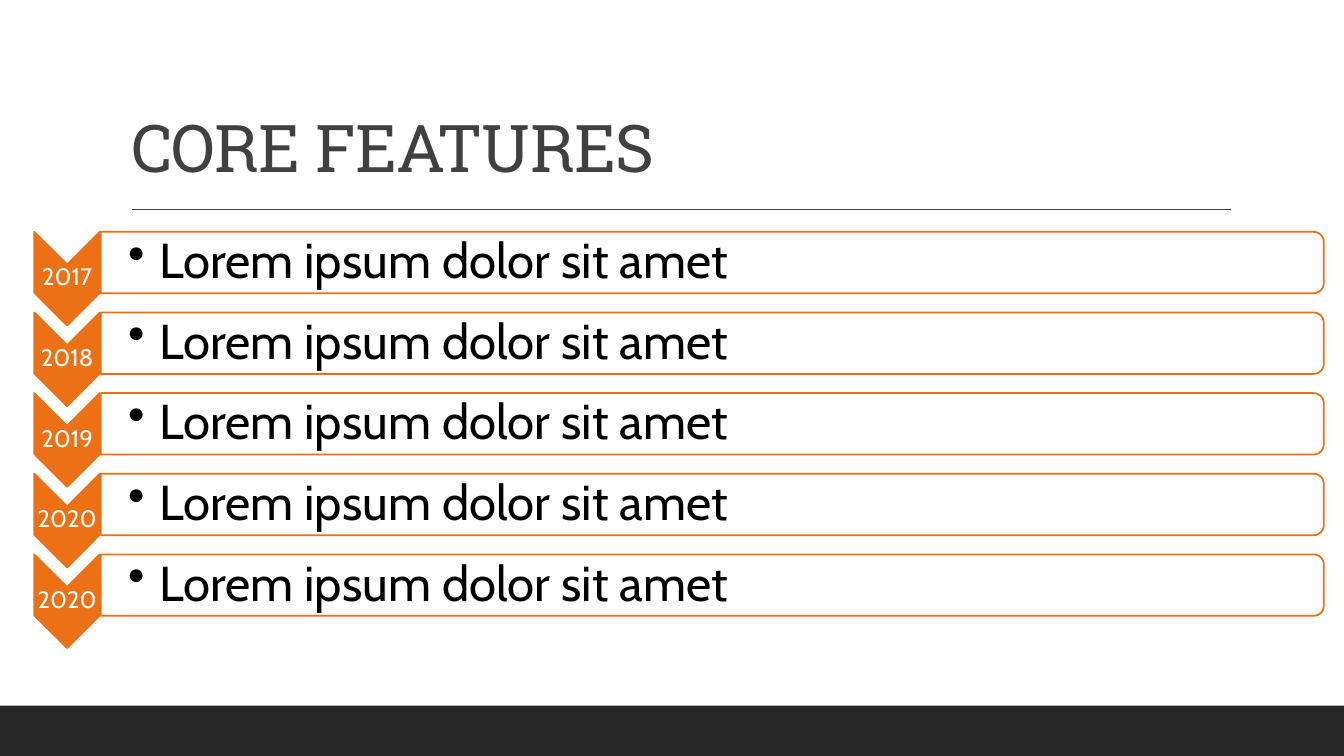
from dataclasses import dataclass

from lxml.etree import SubElement
from pptx import Presentation
from pptx.dml.color import RGBColor
from pptx.enum.shapes import MSO_CONNECTOR, MSO_SHAPE
from pptx.enum.text import MSO_ANCHOR, MSO_AUTO_SIZE, PP_ALIGN
from pptx.oxml.ns import qn
from pptx.util import Inches, Pt


@dataclass(frozen=True)
class Theme:
    accent: RGBColor = RGBColor(0xEC, 0x70, 0x16)
    heading: RGBColor = RGBColor(0x40, 0x40, 0x40)
    footer: RGBColor = RGBColor(0x26, 0x26, 0x26)
    white: RGBColor = RGBColor(0xFF, 0xFF, 0xFF)
    black: RGBColor = RGBColor(0, 0, 0)
    heading_font: str = "Roboto Slab"
    body_font: str = "Cabin"
    title_size: Pt = Pt(47)
    year_size: Pt = Pt(17)
    feature_size: Pt = Pt(35)
    outline: Pt = Pt(1.25)


THEME = Theme()
FEATURES = [(year, "Lorem ipsum dolor sit amet")
            for year in ("2017", "2018", "2019", "2020", "2020")]
FIRST_TOP, ROW_PITCH = 2.3, 0.8
CHEVRON_LENGTH, CHEVRON_WIDTH, CHEVRON_LEFT = 0.93, 0.65, 0.34
PANEL_LEFT, PANEL_WIDTH, PANEL_HEIGHT = 1, 12.13, 0.61


def add_turned_shape(preset, left, top, width, height, fill):
    """Add an outlined shape turned by 90 degrees that covers the given visible box."""
    shape = slide.shapes.add_shape(
        preset, Inches(left + (width - height) / 2), Inches(top + (height - width) / 2),
        Inches(height), Inches(width))
    shape.rotation = 90
    shape.shadow.inherit = False
    shape.fill.solid()
    shape.fill.fore_color.rgb = fill
    shape.line.color.rgb = THEME.accent
    shape.line.width = THEME.outline
    return shape


def add_label(text, left, top, width, height, inset, left_inset, size, color):
    """Add a vertically centred text box and return its paragraph."""
    frame = slide.shapes.add_textbox(
        Inches(left), Inches(top), Inches(width), Inches(height)).text_frame
    frame.word_wrap = True
    frame.vertical_anchor = MSO_ANCHOR.MIDDLE
    frame.margin_top = frame.margin_right = frame.margin_bottom = Inches(inset)
    frame.margin_left = Inches(left_inset)
    paragraph = frame.paragraphs[0]
    paragraph.text = text
    paragraph.line_spacing = 0.9
    paragraph.font.name = THEME.body_font
    paragraph.font.size = size
    paragraph.font.color.rgb = color
    return paragraph


prs = Presentation()
prs.slide_width, prs.slide_height = Inches(13.33), Inches(7.5)
slide = prs.slides.add_slide(prs.slide_layouts[5])

footer = slide.shapes.add_shape(
    MSO_SHAPE.RECTANGLE, 0, Inches(7), prs.slide_width, Inches(0.5))
footer.shadow.inherit = False
footer.fill.solid()
footer.fill.fore_color.rgb = THEME.footer
footer.line.fill.background()

title_rule = slide.shapes.add_connector(
    MSO_CONNECTOR.STRAIGHT, Inches(1.31), Inches(2.08), Inches(12.21), Inches(2.08))
title_rule.line.color.rgb = THEME.heading
title_rule.line.width = Pt(1)
SubElement(title_rule._element.spPr, qn("a:effectLst"))

title = slide.shapes.title
title.left, title.top = Inches(1.2), Inches(0.31)
title.width, title.height = Inches(11), Inches(1.59)
title.text_frame.auto_size = MSO_AUTO_SIZE.NONE
title.text_frame.vertical_anchor = MSO_ANCHOR.BOTTOM
heading = title.text_frame.paragraphs[0]
heading.text = "CORE FEATURES"
heading.alignment = PP_ALIGN.LEFT
heading.line_spacing = 0.9
heading.font.name = THEME.heading_font
heading.font.size = THEME.title_size
heading.font.color.rgb = THEME.heading
heading.runs[0]._r.get_or_add_rPr().set("spc", "-50")

for row, (year, feature) in enumerate(FEATURES):
    top = FIRST_TOP + row * ROW_PITCH

    add_turned_shape(MSO_SHAPE.CHEVRON, CHEVRON_LEFT, top,
                     CHEVRON_WIDTH, CHEVRON_LENGTH, THEME.accent)
    year_label = add_label(year, CHEVRON_LEFT, top + 0.32, CHEVRON_WIDTH, 0.28,
                           0.01, 0.01, THEME.year_size, THEME.white)
    year_label.alignment = PP_ALIGN.CENTER

    panel = add_turned_shape(MSO_SHAPE.ROUND_2_SAME_RECTANGLE, PANEL_LEFT, top,
                             PANEL_WIDTH, PANEL_HEIGHT, THEME.white)
    panel_color = panel._element.spPr.find(qn("a:solidFill"))[0]
    SubElement(panel_color, qn("a:alpha"), val="90000")

    feature_label = add_label(feature, PANEL_LEFT, top + 0.03, 12.1, 0.55,
                              0.02, 0.27, THEME.feature_size, THEME.black)
    properties = feature_label._p.get_or_add_pPr()
    properties.set("marL", str(Inches(0.31)))
    properties.set("indent", str(Inches(-0.31)))
    bullet = SubElement(properties, qn("a:buChar"), char="•")
    properties.find(qn("a:defRPr")).addprevious(bullet)

prs.save("out.pptx")
